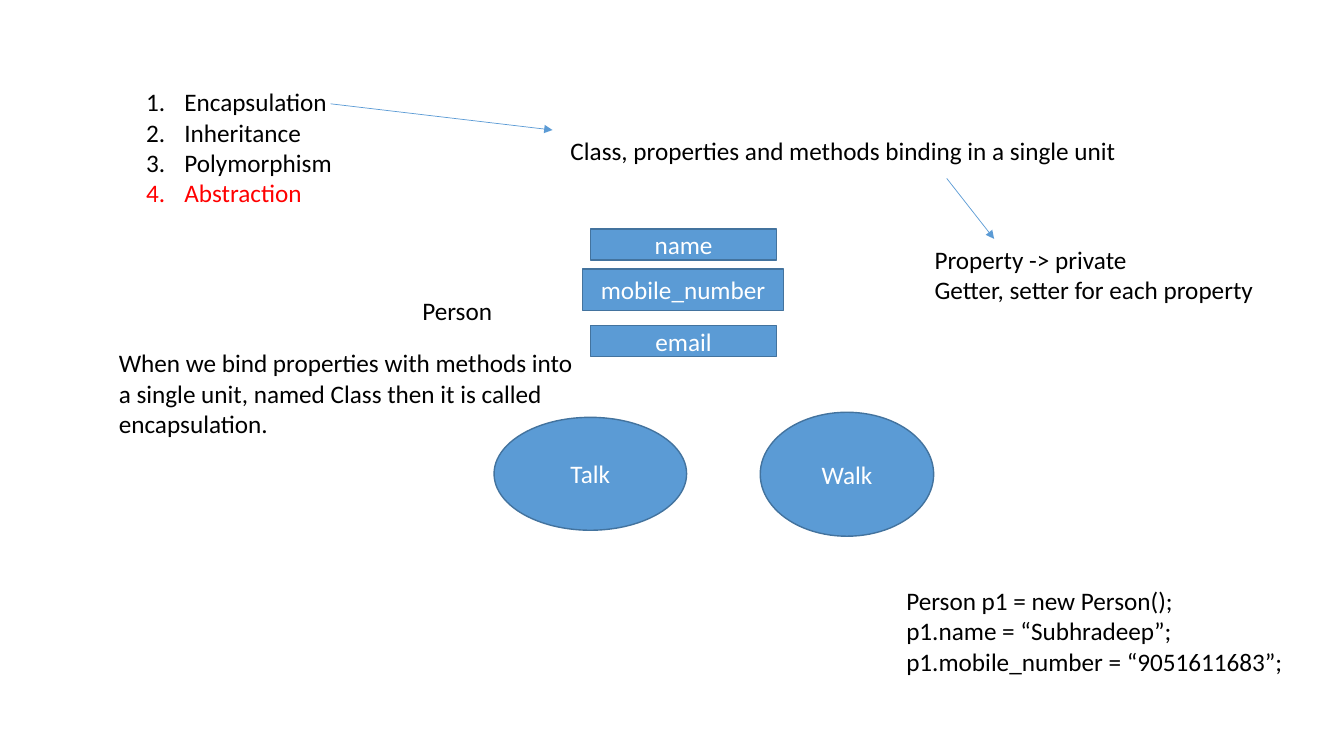
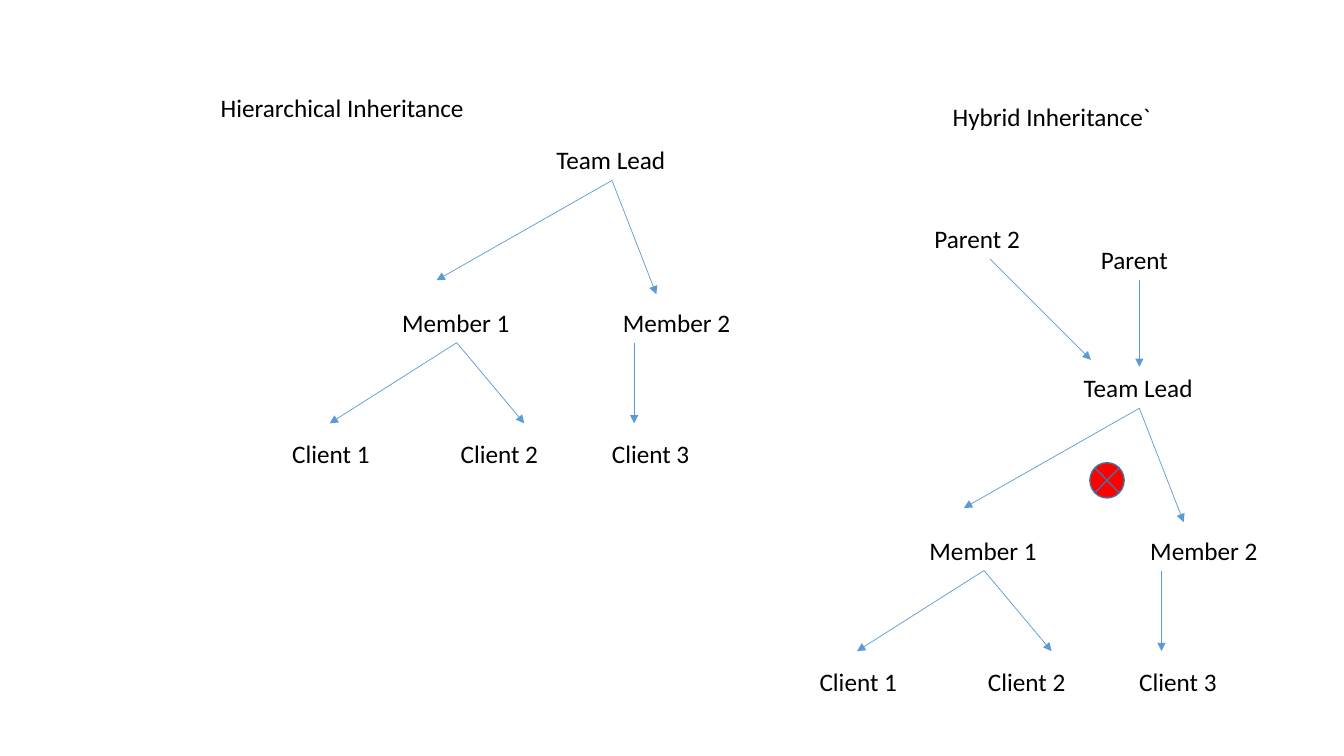
from dataclasses import dataclass

from lxml.etree import SubElement
from pptx import Presentation
from pptx.dml.color import RGBColor
from pptx.enum.shapes import MSO_CONNECTOR, MSO_SHAPE
from pptx.enum.text import MSO_ANCHOR, MSO_AUTO_SIZE, PP_ALIGN
from pptx.oxml.ns import qn
from pptx.util import Pt

PX = 9144  # EMU, 100 px to the inch


@dataclass(frozen=True)
class Theme:
    font: str = "Calibri"
    size: int = 18
    ink: str = "000000"
    light: str = "FFFFFF"
    blue: str = "5B9BD5"
    edge: str = "43739E"
    red: str = "FF0000"
    thin: float = 0.5
    thick: float = 1


THEME = Theme()


def write(frame, text, color=THEME.ink, align=None, number=False, marked=()):
    """Fill a frame line by line; lines listed in marked turn red."""
    for i, line in enumerate(text.split("\n")):
        para = frame.paragraphs[0] if i == 0 else frame.add_paragraph()
        para.alignment = align
        run = para.add_run()
        run.text = line
        font = run.font
        font.name, font.size = THEME.font, Pt(THEME.size)
        font.color.rgb = RGBColor.from_string(THEME.red if line in marked else color)
        if number:
            props = para._p.get_or_add_pPr()
            props.set("marL", str(38 * PX))
            props.set("indent", str(-38 * PX))
            SubElement(props, qn("a:buAutoNum"), type="arabicPeriod")


class Deck:
    def __init__(self):
        self.file = Presentation()
        self.file.slide_width, self.file.slide_height = 1333 * PX, 750 * PX

    def page(self):
        self.slide = self.file.slides.add_slide(self.file.slide_layouts[6])

    def text(self, text, x, y, w, h=40, wrap=False, **style):
        box = self.slide.shapes.add_textbox(x * PX, y * PX, w * PX, h * PX)
        frame = box.text_frame
        frame.word_wrap = wrap
        frame.auto_size = MSO_AUTO_SIZE.SHAPE_TO_FIT_TEXT
        write(frame, text, **style)

    def shape(self, kind, x, y, w, h, text="", fill=THEME.blue):
        item = self.slide.shapes.add_shape(kind, x * PX, y * PX, w * PX, h * PX)
        item.shadow.inherit = False
        item.fill.solid()
        item.fill.fore_color.rgb = RGBColor.from_string(fill)
        item.line.color.rgb = RGBColor.from_string(THEME.edge)
        item.line.width = Pt(THEME.thick)
        if text:
            item.text_frame.vertical_anchor = MSO_ANCHOR.MIDDLE
            write(item.text_frame, text, color=THEME.light, align=PP_ALIGN.CENTER)

    def arrow(self, x1, y1, x2, y2):
        line = self.slide.shapes.add_connector(
            MSO_CONNECTOR.STRAIGHT, x1 * PX, y1 * PX, x2 * PX, y2 * PX)
        line.line.color.rgb = RGBColor.from_string(THEME.blue)
        line.line.width = Pt(THEME.thin)
        SubElement(line.line._get_or_add_ln(), qn("a:tailEnd"), type="triangle")
        SubElement(line._element.spPr, qn("a:effectLst"))

    def tree(self, x, y):
        """Draw the team tree with its lead's box at x, y."""
        self.text("Team Lead", x, y, 130)
        for i, left in enumerate((-153, 66), 1):
            self.text(f"Member {i}", x + left, y + 162, 128)
        for i, left in enumerate((-262, -95, 55), 1):
            self.text(f"Client {i}", x + left, y + 292, 98)
        for end, drop in ((-109, 140), (109, 154)):
            self.arrow(x + 65, y + 41, x + end, y + drop)
        for start, end in ((-89, -215), (-89, -22), (87, 87)):
            self.arrow(x + start, y + 202, x + end, y + 282)


def pillars(deck):
    deck.page()
    deck.text("Encapsulation\nInheritance\nPolymorphism\nAbstraction",
              135, 81, 211, 131, number=True, marked=("Abstraction",))
    deck.arrow(328, 103, 548, 129)
    deck.text("Class, properties and methods binding in a single unit", 556, 129, 568)
    for name, x, y, w, h in (("name", 586, 227, 184, 31),
                             ("mobile_number", 578, 267, 199, 41),
                             ("email", 586, 323, 184, 31)):
        deck.shape(MSO_SHAPE.RECTANGLE, x, y, w, h, name)
    deck.shape(MSO_SHAPE.OVAL, 490, 414, 191, 112, "Talk")
    deck.shape(MSO_SHAPE.OVAL, 754, 409, 172, 123, "Walk")
    deck.text("Person", 409, 288, 90)
    deck.text("Person p1 = new Person();\np1.name = “Subhradeep”;\n"
              "p1.mobile_number = “9051611683”;", 889, 576, 398, 101)
    deck.text("Property -> private\nGetter, setter for each property",
              917, 237, 341, 71)
    deck.arrow(939, 177, 986, 237)
    deck.text("When we bind properties with methods into a single unit, "
              "named Class then it is called encapsulation.",
              108, 340, 478, 101, wrap=True)


def kinds(deck):
    deck.page()
    deck.text("Hierarchical Inheritance", 209, 87, 264)
    deck.tree(542, 138)
    deck.text("Hybrid Inheritance`", 935, 96, 219)
    deck.text("Parent 2", 917, 217, 106)
    deck.text("Parent", 1082, 237, 87)
    deck.arrow(982, 257, 1082, 357)
    deck.arrow(1130, 278, 1130, 364)
    deck.tree(1065, 364)
    deck.shape(MSO_SHAPE.FLOWCHART_SUMMING_JUNCTION, 1081, 459, 34, 35, fill=THEME.red)


def main():
    deck = Deck()
    pillars(deck)
    kinds(deck)
    deck.file.save("out.pptx")


if __name__ == "__main__":
    main()
